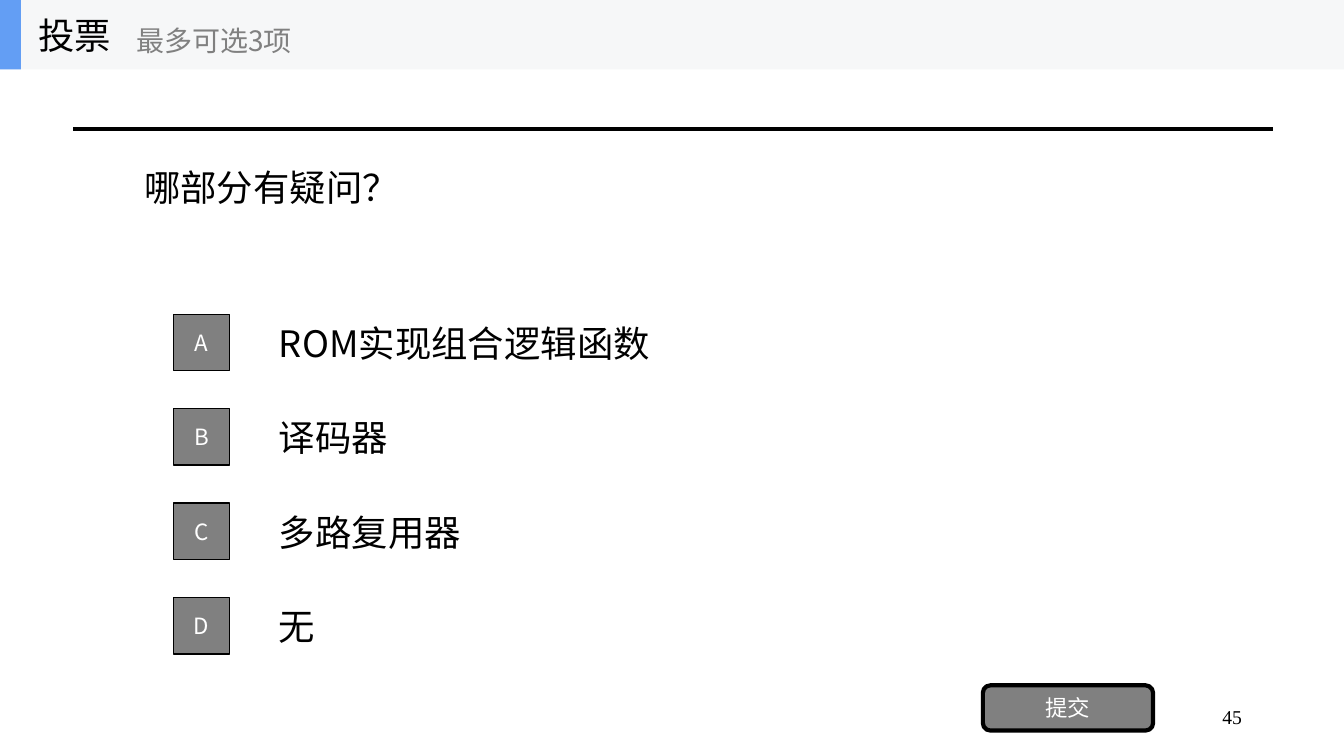
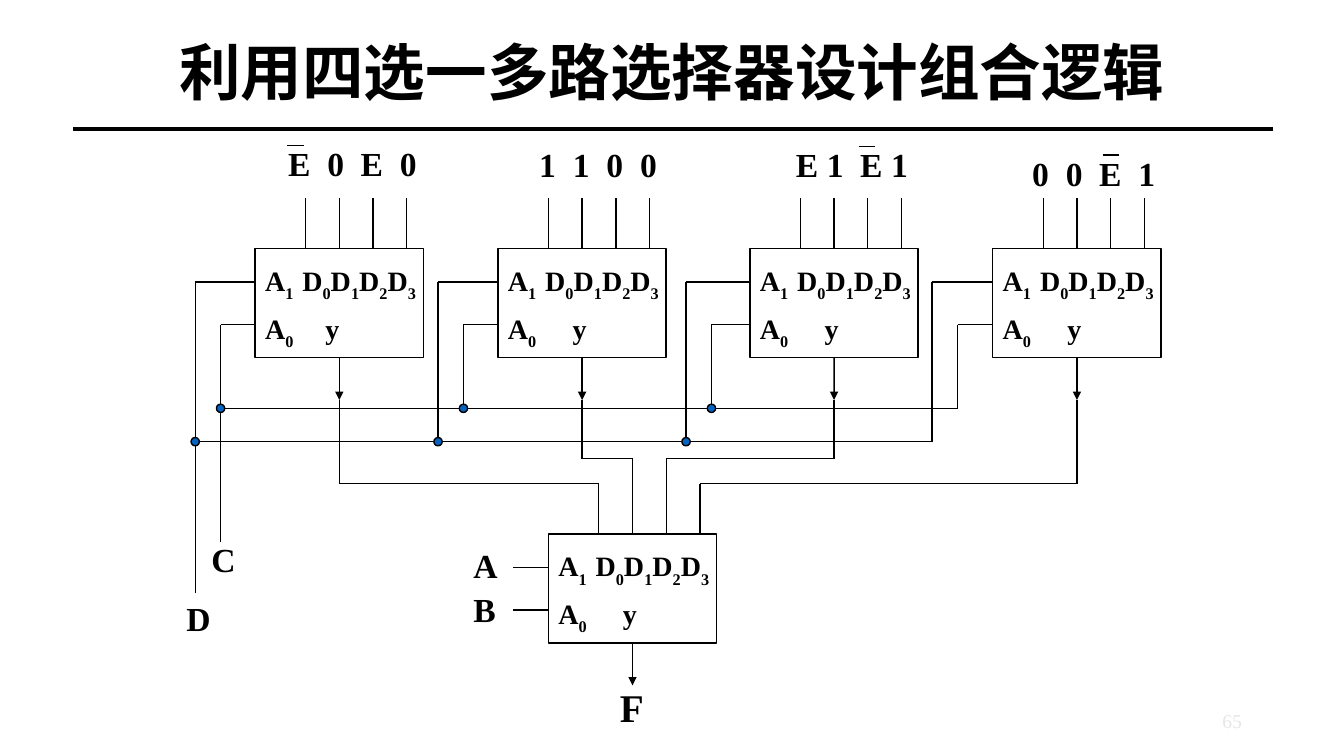
"""Build a poll slide and a multiplexer logic diagram slide."""
from dataclasses import dataclass
from typing import Optional

from lxml import etree
from pptx import Presentation
from pptx import util as u
from pptx.dml.color import RGBColor
from pptx.enum import shapes, text
from pptx.oxml import ns

Cm, Pt = u.Cm, u.Pt
ALIGN, ANCHOR = text.PP_ALIGN, text.MSO_ANCHOR
SHAPE = shapes.MSO_SHAPE


@dataclass(frozen=True)
class Theme:
    ink: str = "000000"
    paper: str = "FFFFFF"
    grey: str = "808080"
    band: str = "F6F7F8"
    accent: str = "639EF4"
    node: str = "0563C1"
    faint: str = "E7E6E6"
    sans: str = "Noto Sans CJK SC"
    serif: str = "Times New Roman"
    heading: str = "Arial"
    title_size: int = 44
    body_size: int = 26
    output_size: int = 28
    signal_size: int = 24
    pin_size: int = 20
    hint_size: int = 20
    button_size: int = 16
    page_size: int = 14
    thin: float = 1
    thick: float = 3


THEME = Theme()


@dataclass(frozen=True)
class Style:
    size: int
    font: str = THEME.sans
    color: str = THEME.ink
    bold: bool = False


BODY = Style(THEME.body_size)
HINT = Style(THEME.hint_size, color=THEME.grey)
BUTTON = Style(THEME.button_size, color=THEME.paper)
TITLE = Style(THEME.title_size, THEME.heading, bold=True)
SIGNAL = Style(THEME.signal_size, THEME.serif, bold=True)
OUTPUT = Style(THEME.output_size, THEME.serif, bold=True)
PIN = Style(THEME.pin_size, THEME.serif, bold=True)


@dataclass(frozen=True)
class Mux:
    left: float
    top: float
    tap: float
    drop: float = 0
    y_tab: float = 1.63

    @property
    def pins(self) -> list[float]:
        return [self.left + 1.27 + 0.85 * i for i in range(4)]

    @property
    def a1(self) -> float:
        return self.top + 0.84

    @property
    def a0(self) -> float:
        return self.top + 1.91

    @property
    def out(self) -> float:
        return self.left + MUX_W / 2

    @property
    def arrow_end(self) -> float:
        return self.top + MUX_H + 1.07


@dataclass(frozen=True)
class Inputs:
    left: float
    top: float
    values: str
    stops: tuple[float, ...]
    bar: Optional[float] = None


@dataclass(frozen=True)
class Signal:
    name: str
    left: float
    top: float
    style: Style = SIGNAL


MUX_W, MUX_H = 4.24, 2.74
PIN_LENGTH = 1.27
BUS_C, BUS_D, BUS_GAP = 10.29, 11.13, 0.64
C_END, D_END = 13.67, 14.94
DOT = 0.21
BAR_DROP, BAR_W = 0.18, 0.42
MUXES = (
    Mux(6.43, 6.27, 5.56, 12.19, 1.52),
    Mux(12.55, 6.27, 11.68, 11.56),
    Mux(18.9, 6.27, 17.93, 11.56),
    Mux(25.02, 6.27, 24.13, 12.19),
)
COLLECTOR = Mux(13.82, 13.46, 12.93)
INPUTS = (
    Inputs(7.01, 3.48, "E0E0", (0.99, 1.83, 2.82), 0.23),
    Inputs(13.34, 3.51, "1100", (0.85, 1.69, 2.54)),
    Inputs(19.81, 3.51, "E1E1", (0.78, 1.62, 2.4), 1.83),
    Inputs(25.76, 3.73, "00E1", (0.85, 1.69, 2.68), 2.03),
)
SIGNALS = (
    Signal("A", 11.68, 13.61),
    Signal("B", 11.68, 14.71),
    Signal("C", 5.08, 13.46),
    Signal("D", 4.45, 14.94),
    Signal("F", 15.37, 17.09, OUTPUT),
)
OPTIONS = ("ROM实现组合逻辑函数", "译码器", "多路复用器", "无")


def rgb(color: str) -> RGBColor:
    return RGBColor.from_string(color)


def add_run(paragraph, words: str, style: Style, subscript: bool = False) -> None:
    run = paragraph.add_run()
    run.text = words
    font = run.font
    font.size, font.name, font.bold = Pt(style.size), style.font, style.bold
    font.color.rgb = rgb(style.color)
    props = run._r.get_or_add_rPr()
    etree.SubElement(props, ns.qn("a:ea"), typeface=THEME.sans)
    if subscript:
        props.set("baseline", "-30000")


def set_tabs(paragraph, stops: tuple[float, ...]) -> None:
    tabs = etree.SubElement(paragraph._p.get_or_add_pPr(), ns.qn("a:tabLst"))
    for stop in stops:
        etree.SubElement(tabs, ns.qn("a:tab"), pos=str(int(Cm(stop))), algn="l")


def add_label(slide, left: float, top: float, width: float, height: float,
              words: str, style: Style, align=ALIGN.LEFT, anchor=ANCHOR.MIDDLE):
    label = slide.shapes.add_textbox(Cm(left), Cm(top), Cm(width), Cm(height))
    frame = label.text_frame
    frame.word_wrap, frame.vertical_anchor = True, anchor
    paragraph = frame.paragraphs[0]
    paragraph.alignment = align
    add_run(paragraph, words, style)
    return paragraph


def add_block(slide, left: float, top: float, width: float, height: float,
              fill: Optional[str] = None, weight: float = 0, kind=SHAPE.RECTANGLE):
    block = slide.shapes.add_shape(kind, Cm(left), Cm(top), Cm(width), Cm(height))
    block.shadow.inherit = False
    if fill:
        block.fill.solid()
        block.fill.fore_color.rgb = rgb(fill)
    else:
        block.fill.background()
    if weight:
        block.line.color.rgb = rgb(THEME.ink)
        block.line.width = Pt(weight)
    else:
        block.line.fill.background()
    return block


def add_button(slide, left: float, top: float, width: float, height: float,
               words: str, weight: float = THEME.thin, kind=SHAPE.RECTANGLE) -> None:
    button = add_block(slide, left, top, width, height, THEME.grey, weight, kind)
    button.text_frame.vertical_anchor = ANCHOR.MIDDLE
    paragraph = button.text_frame.paragraphs[0]
    paragraph.alignment = ALIGN.CENTER
    add_run(paragraph, words, BUTTON)


def add_wire(slide, x1: float, y1: float, x2: float, y2: float,
             weight: float = THEME.thin, arrow: bool = False):
    wire = slide.shapes.add_connector(
        shapes.MSO_CONNECTOR.STRAIGHT, Cm(x1), Cm(y1), Cm(x2), Cm(y2))
    wire.line.color.rgb = rgb(THEME.ink)
    wire.line.width = Pt(weight)
    if arrow:
        etree.SubElement(wire.line._get_or_add_ln(), ns.qn("a:tailEnd"), type="triangle")
    etree.SubElement(wire._element.spPr, ns.qn("a:effectLst"))
    return wire


def add_node(slide, x: float, y: float) -> None:
    add_block(slide, x - DOT / 2, y - DOT / 2, DOT, DOT, THEME.node, THEME.thin, SHAPE.OVAL)


def add_page(deck, number: str, color: str, number_top: float):
    slide = deck.slides.add_slide(deck.slide_layouts[6])
    add_wire(slide, 1.85, 3.25, 32.08, 3.25, THEME.thick)
    add_label(slide, 23.93, number_top, 7.62, 1.02, number,
              Style(THEME.page_size, THEME.serif, color), ALIGN.RIGHT, ANCHOR.TOP)
    return slide


def add_mux(slide, mux: Mux, pin_starts: list[float]) -> None:
    body = add_block(slide, mux.left, mux.top, MUX_W, MUX_H, weight=THEME.thin)
    frame = body.text_frame
    frame.word_wrap, frame.vertical_anchor = True, ANCHOR.MIDDLE
    frame.margin_right = 0
    rows = (("A1", "\tD0", "D1", "D2", "D3"), ("A0", "\ty"))
    for row, stop in zip(rows, (0.94, mux.y_tab)):
        paragraph = frame.paragraphs[0] if row is rows[0] else frame.add_paragraph()
        set_tabs(paragraph, (stop,))
        paragraph.alignment, paragraph.line_spacing = ALIGN.LEFT, 1.2
        for pin in row:
            add_run(paragraph, pin.rstrip("0123"), PIN)
            if pin[-1].isdigit():
                add_run(paragraph, pin[-1], PIN, subscript=True)
    for x, start in zip(mux.pins, pin_starts):
        add_wire(slide, x, start, x, mux.top)
    output = add_wire(slide, mux.out, mux.top + MUX_H, mux.out, mux.arrow_end, arrow=True)
    output.begin_connect(body, 2)


def add_address_wires(slide) -> None:
    first, last = MUXES[0], MUXES[-1]
    add_wire(slide, first.tap, BUS_C, last.tap, BUS_C)
    add_wire(slide, first.tap - BUS_GAP, BUS_D, last.tap - BUS_GAP, BUS_D)
    for mux in MUXES:
        taps = ((mux.tap, mux.a0, BUS_C, C_END),
                (mux.tap - BUS_GAP, mux.a1, BUS_D, D_END))
        for x, y, bus, source in taps:
            add_wire(slide, x, y, mux.left, y)
            add_wire(slide, x, y, x, source if mux is first else bus)
            if mux is not last:
                add_node(slide, x, bus)


def build_poll(deck) -> None:
    slide = add_page(deck, "45", THEME.ink, 17.65)
    add_label(slide, 3.38, 1.75, 27.1, 5.94, "哪部分有疑问？", BODY)
    for i, (letter, option) in enumerate(zip("ABCD", OPTIONS)):
        offset = 2.38 * i
        add_label(slide, 6.78, 7.75 + offset, 23.7, 1.78, option, BODY)
        add_button(slide, 4.37, 7.92 + offset, 1.42, 1.42, letter)
    add_button(slide, 24.77, 17.27, 4.29, 1.14, "提交", THEME.thick, SHAPE.ROUNDED_RECTANGLE)
    add_block(slide, 0, 0, 33.87, 1.75, THEME.band)
    add_block(slide, 0, 0, 0.53, 1.75, THEME.accent)
    add_label(slide, 0.71, 0, 5.28, 1.75, "投票", BODY)
    add_label(slide, 3.18, 0.3, 6.35, 1.42, "最多可选3项", HINT)


def build_logic(deck) -> None:
    slide = add_page(deck, "65", THEME.faint, 17.73)
    title = add_label(slide, 2.34, 1.02, 29.21, 1.78,
                      "利用四选一多路选择器设计组合逻辑", TITLE, ALIGN.CENTER)
    title.line_spacing = 0.9
    add_mux(slide, COLLECTOR, [mux.drop for mux in MUXES])
    for y in (COLLECTOR.a1, COLLECTOR.a0):
        add_wire(slide, COLLECTOR.tap, y, COLLECTOR.left, y)
    for mux, pin in zip(MUXES, COLLECTOR.pins):
        add_mux(slide, mux, [mux.top - PIN_LENGTH] * 4)
        add_wire(slide, mux.out, mux.arrow_end, mux.out, mux.drop)
        add_wire(slide, mux.out, mux.drop, pin, mux.drop)
    add_address_wires(slide)
    for signal in SIGNALS:
        add_label(slide, signal.left, signal.top, 1.27, 1.27, signal.name,
                  signal.style, anchor=ANCHOR.TOP)
    for group in INPUTS:
        paragraph = add_label(slide, group.left, group.top, 3.86, 1.27,
                              "\t".join(group.values), SIGNAL, anchor=ANCHOR.TOP)
        set_tabs(paragraph, group.stops)
        if group.bar is not None:
            x, y = group.left + group.bar, group.top + BAR_DROP
            add_wire(slide, x, y, x + BAR_W, y)


def main() -> None:
    deck = Presentation()
    deck.slide_width, deck.slide_height = Cm(33.87), Cm(19.05)
    build_poll(deck)
    build_logic(deck)
    deck.save("out.pptx")


if __name__ == "__main__":
    main()
